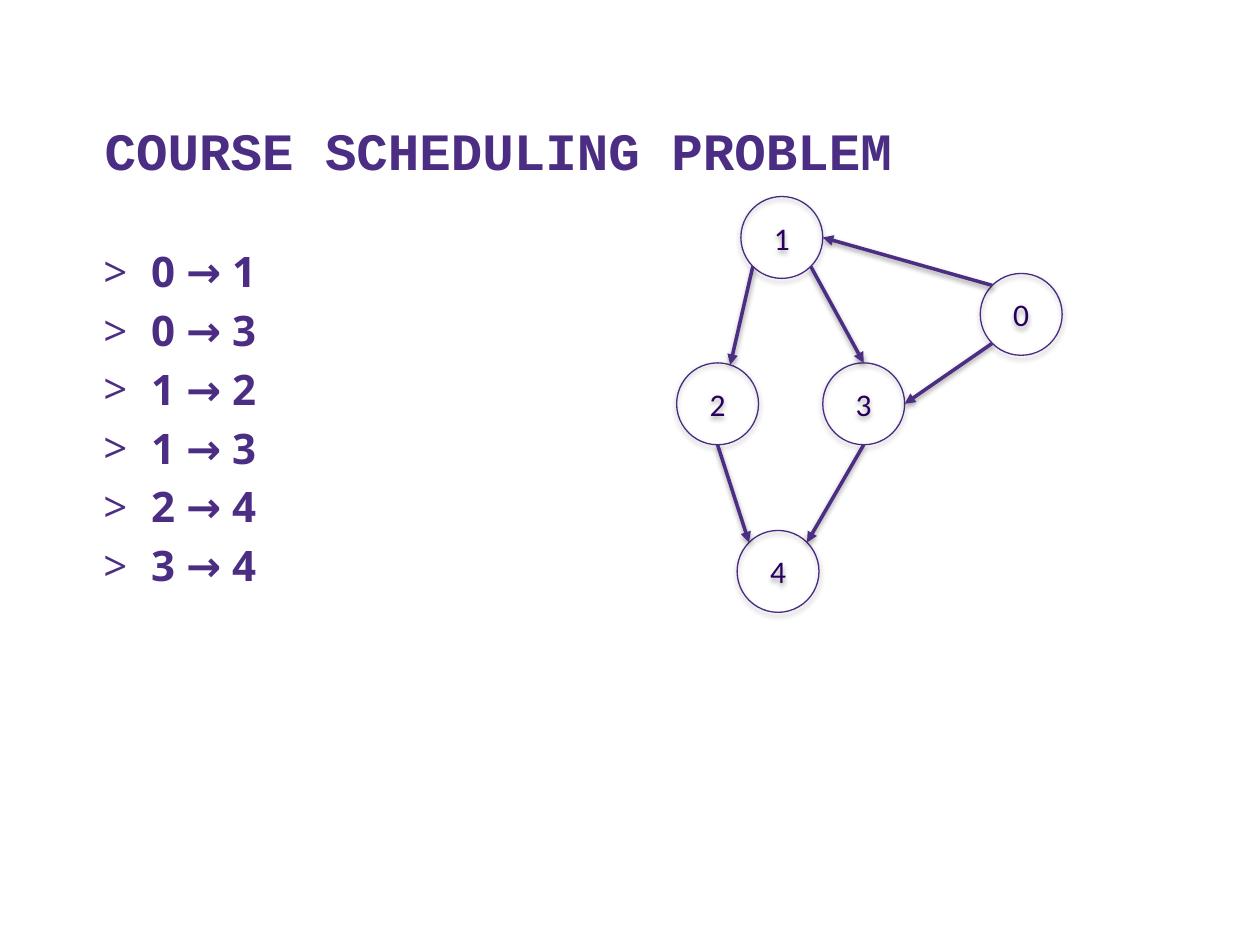
from math import cos, radians, sin

from lxml.etree import SubElement
from pptx import Presentation
from pptx.dml.color import RGBColor
from pptx.enum.shapes import MSO_CONNECTOR, MSO_SHAPE
from pptx.enum.text import MSO_ANCHOR, MSO_AUTO_SIZE, PP_ALIGN
from pptx.oxml.ns import qn
from pptx.util import Inches, Pt

COLORS = {"text": "4B2E83", "ring": "492B82", "digit": "26005C", "shade": "000000"}
UNIT = Inches(0.1)  # grid of 100 columns by 75 rows
SIZE = 6.5          # node diameter in grid units

# Node label: left column, top row
NODES = {
    "2": (53.7, 28.8),
    "3": (65.3, 28.8),
    "0": (77.8, 21.7),
    "4": (58.5, 42.1),
    "1": (58.8, 15.6),
}
# Start node, angle on its rim, end node, angle on its rim (clockwise from right)
EDGES = [
    ("1", 135, "2", 288),
    ("1", 45, "3", 270),
    ("2", 90, "4", 225),
    ("3", 90, "4", 315),
    ("0", 225, "1", 0),
    ("0", 135, "3", 0),
]
ITEMS = ["0 → 1", "0 → 3", "1 → 2", "1 → 3", "2 → 4", "3 → 4"]


def color(name):
    return RGBColor.from_string(COLORS[name])


def grid(*units):
    return [round(n * UNIT) for n in units]


def rim(node, angle):
    left, top = NODES[node]
    half, turn = SIZE / 2, radians(angle)
    return left + half + half * cos(turn), top + half + half * sin(turn)


class Deck:
    def __init__(self):
        self.file = Presentation()
        self.file.slide_width, self.file.slide_height = grid(100, 75)
        self.slide = self.file.slides.add_slide(self.file.slide_layouts[1])
        self.graph = None

    def font(self, para, face, size, tone, bold=False):
        font = para.font
        font.name, font.size, font.bold = face, Pt(size), bold
        font.color.rgb = color(tone)

    def place(self, index, box):
        holder = self.slide.placeholders[index]
        holder.left, holder.top, holder.width, holder.height = grid(*box)
        holder.text_frame.auto_size = MSO_AUTO_SIZE.NONE
        return holder.text_frame

    def title(self, text, box):
        frame = self.place(0, box)
        frame.text = text
        frame.vertical_anchor = MSO_ANCHOR.BOTTOM
        para = frame.paragraphs[0]
        para.alignment = PP_ALIGN.LEFT
        self.font(para, "Courier New", 30, "text", True)

    def list(self, items, box):
        frame = self.place(1, box)
        frame.text = "\n".join(items)
        for para in frame.paragraphs:
            props = para._p.get_or_add_pPr()
            props.set("marL", str(Inches(0.38)))
            props.set("indent", str(-Inches(0.38)))
            SubElement(props, qn("a:buFont"), typeface="Open Sans")
            SubElement(props, qn("a:buChar"), char=">")
            self.font(para, "Open Sans", 24, "text", True)
        frame.paragraphs[0].space_before = Pt(0)

    def shadow(self, effects, dist, alpha):
        shade = SubElement(effects, qn("a:outerShdw"), blurRad=str(Pt(3.1)),
                           dist=str(Pt(dist)), dir="5400000", rotWithShape="0")
        tone = SubElement(shade, qn("a:srgbClr"), val=COLORS["shade"])
        SubElement(tone, qn("a:alpha"), val=str(alpha * 1000))

    def group(self):
        self.graph = self.slide.shapes.add_group_shape()

    def node(self, label):
        left, top = NODES[label]
        shape = self.graph.shapes.add_shape(
            MSO_SHAPE.OVAL, *grid(left, top, SIZE, SIZE))
        shape.fill.background()
        shape.line.color.rgb = color("ring")
        shape.line.width = Pt(0.75)
        shape.shadow.inherit = False
        self.shadow(shape._element.spPr.find(qn("a:effectLst")), 1.8, 35)
        frame = shape.text_frame
        frame.text = label
        frame.vertical_anchor = MSO_ANCHOR.MIDDLE
        para = frame.paragraphs[0]
        para.alignment = PP_ALIGN.CENTER
        self.font(para, "Calibri", 18, "digit")

    def arrow(self, start, out, end, into):
        ends = grid(*rim(start, out), *rim(end, into))
        link = self.graph.shapes.add_connector(MSO_CONNECTOR.STRAIGHT, *ends)
        link.line.color.rgb = color("text")
        link.line.width = Pt(2)
        props = link._element.spPr
        SubElement(props.find(qn("a:ln")), qn("a:tailEnd"), type="triangle")
        self.shadow(SubElement(props, qn("a:effectLst")), 1.6, 38)

    def save(self):
        self.file.save("out.pptx")


def main():
    deck = Deck()

    # Heading and list of prerequisites
    deck.title("COURSE SCHEDULING PROBLEM", (7.3, 4.1, 89.5, 10.8))
    deck.list(ITEMS, (7.2, 19, 89.6, 43.9))

    # Course graph
    deck.group()
    for label in NODES:
        deck.node(label)
    for edge in EDGES:
        deck.arrow(*edge)

    deck.save()


if __name__ == "__main__":
    main()
